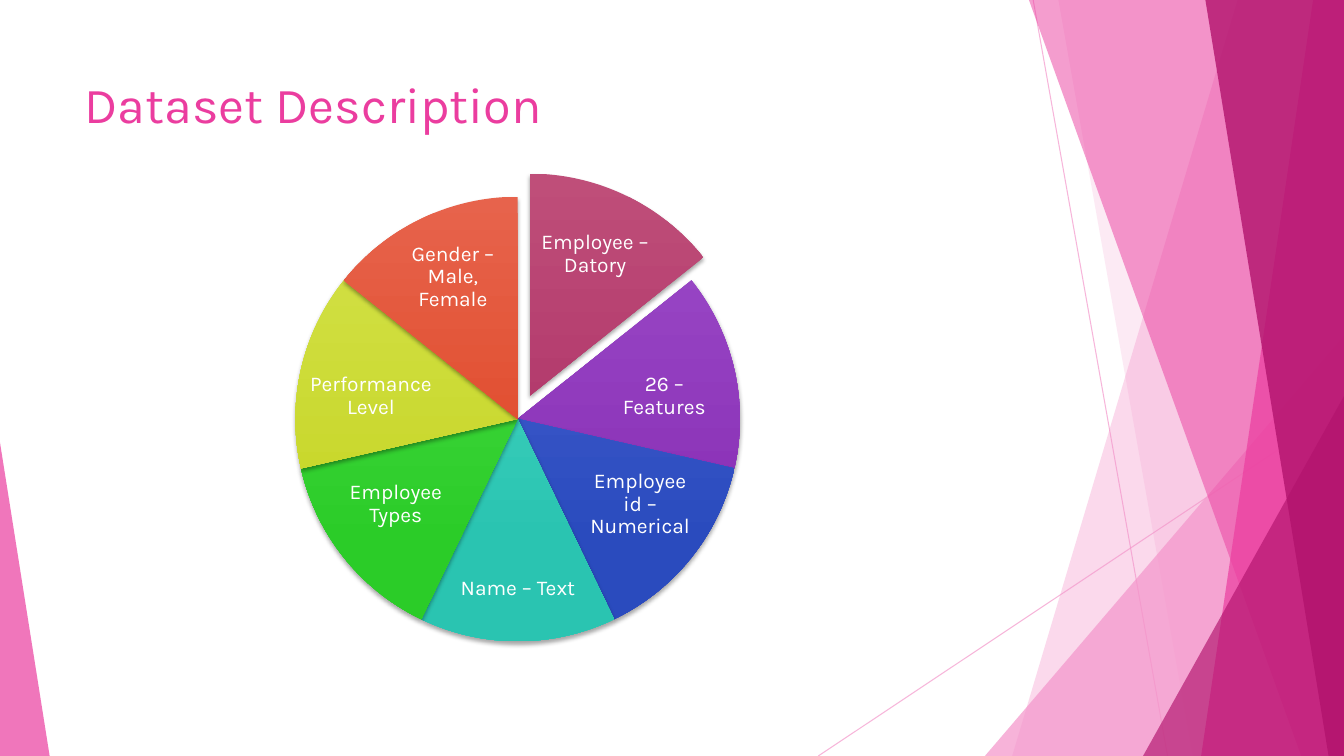
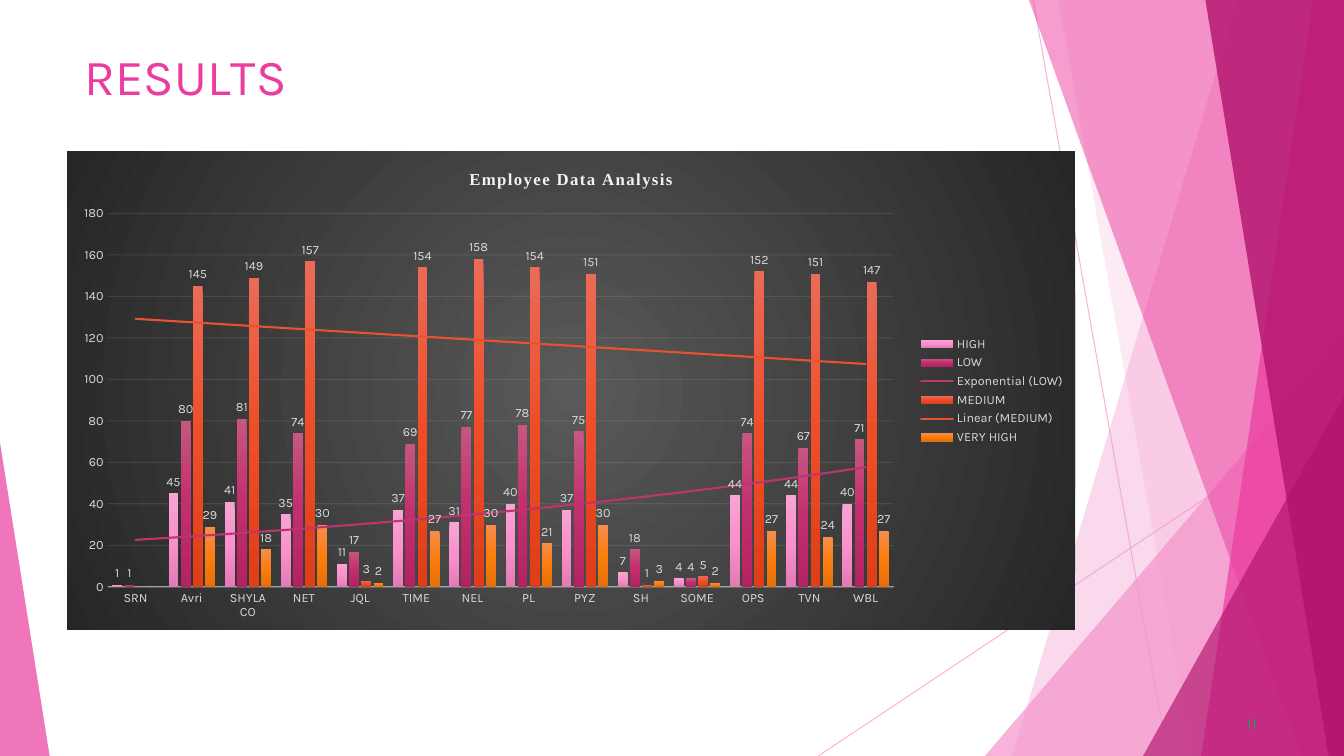
from pptx import Presentation
from pptx.chart.data import CategoryChartData
from pptx.dml.color import RGBColor
from pptx.enum.chart import XL_CHART_TYPE as ChartType
from pptx.enum.chart import XL_LABEL_POSITION as LabelPosition
from pptx.enum.chart import XL_LEGEND_POSITION as LegendPosition
from pptx.enum.chart import XL_TICK_MARK as TickMark
from pptx.enum.shapes import MSO_CONNECTOR as Connector
from pptx.enum.shapes import MSO_SHAPE as Shape
from pptx.enum.text import MSO_ANCHOR as Anchor
from pptx.enum.text import MSO_AUTO_SIZE as AutoSize
from pptx.enum.text import PP_ALIGN as Align
from pptx.oxml import parse_xml
from pptx.oxml.ns import nsdecls, qn
from pptx.util import Pt

# Shared look
WIDTH, HEIGHT = 960, 540
FONT = "Karla"
PINK, LIGHT_PINK, MAGENTA = "EB3D9F", "F496CB", "B2136D"
WHITE, PALE, CHART_GREY, NUMBER_GREEN = "FFFFFF", "F2F2F2", "D9D9D9", "2D936B"

# Pie slices: text, gradient, label box (left, top, width, height)
PIE_LEFT, PIE_TOP, PIE_SIZE = 211, 140.5, 317.5
EXPLODE_X, EXPLODE_Y = 8.5, -16.5
SLICES = [
    ("Employee – Datory", "BF4E79", "AC3066", (381.5, 154, 87, 55)),
    ("26 – Features", "9B4CC8", "892EB5", (428.5, 254, 92, 58.5)),
    ("Employee id – Numerical", "4A62D2", "2A4BBE", (415.5, 330, 83.5, 60.5)),
    ("Name – Text", "4AD8C5", "2AC4B1", (325, 390, 90, 60.5)),
    ("Employee Types", "4CDD4B", "2BCC28", (241, 330, 83.5, 60.5)),
    ("Performance Level", "D4E24B", "C6D525", (219, 254, 92, 58.5)),
    ("Gender – Male, Female", "E7634C", "DE4522", (280, 170.5, 87, 55)),
]

# Chart data: name, gradient, trend line (kind, colour), values
CATEGORIES = ["SRN", "Avri", "SHYLA CO", "NET", "JQL", "TIME", "NEL",
              "PL", "PYZ", "SH", "SOME", "OPS", "TVN", "WBL"]
SERIES = [
    ("HIGH", ("F7A4D2", "F991CC", "E37BB6"), None,
     (1, 45, 41, 35, 11, 37, 31, 40, 37, 7, 4, 44, 44, 40)),
    ("LOW", ("C65780", "C32E6E", "B32361"), ("exp", "BC356F"),
     (1, 80, 81, 74, 17, 69, 77, 78, 75, 18, 4, 74, 67, 71)),
    ("MEDIUM", ("EB6B57", "EF4D28", "DF3E19"), ("linear", "E65331"),
     (None, 145, 149, 157, 3, 154, 158, 154, 151, 1, 5, 152, 151, 147)),
    ("VERY HIGH", ("F68D4E", "FD7D0E", "E56F08"), None,
     (None, 29, 18, 30, 2, 27, 30, 21, 30, 3, 2, 27, 24, 27)),
]


# Colour and fill helpers
def colour(hex_text):
    return RGBColor.from_string(hex_text)


def set_alpha(element, percent):
    for node in element.iter(qn("a:srgbClr")):
        node.append(parse_xml(f'<a:alpha {nsdecls("a")} val="{percent * 1000}"/>'))


def gradient(stops, radial=False):
    marks = "".join(f'<a:gs pos="{place * 1000}"><a:srgbClr val="{tone}"/></a:gs>'
                    for place, tone in stops)
    if radial:
        way = ('<a:path path="circle"><a:fillToRect l="50000" t="50000" '
               'r="50000" b="50000"/></a:path>')
    else:
        way = '<a:lin ang="5400000" scaled="0"/>'
    return parse_xml(f'<a:gradFill {nsdecls("a")} rotWithShape="1">'
                     f'<a:gsLst>{marks}</a:gsLst>{way}</a:gradFill>')


def fill_gradient(fill, properties, stops):
    fill.solid()
    solid = properties.find(qn("a:solidFill"))
    properties.replace(solid, gradient(stops))


def fill_flat(shape, tone, alpha):
    shape.shadow.inherit = False
    shape.fill.solid()
    shape.fill.fore_color.rgb = colour(tone)
    shape.line.fill.background()
    set_alpha(shape.element.spPr, alpha)


# Text helpers
def style_font(font, size, tone, name=FONT):
    font.size = Pt(size)
    font.name = name
    font.color.rgb = colour(tone)


def add_span(para, text, size, tone, name=FONT, bold=False, spacing=0):
    span = para.add_run()
    span.text = text
    style_font(span.font, size, tone, name)
    span.font.bold = bold
    if spacing:
        span.font._element.set("spc", str(round(spacing * 100)))


def set_margins(frame, margin):
    frame.margin_left = frame.margin_right = Pt(margin)
    frame.margin_top = frame.margin_bottom = Pt(margin)


def add_text(page, place, text, size, tone, align=Align.LEFT,
             anchor=Anchor.TOP, margin=0, line_spacing=1.0):
    box = page.shapes.add_textbox(*map(Pt, place))
    frame = box.text_frame
    frame.word_wrap = True
    frame.vertical_anchor = anchor
    set_margins(frame, margin)
    para = frame.paragraphs[0]
    para.alignment = align
    para.line_spacing = line_spacing
    add_span(para, text, size, tone)


def set_title(page, place, spans):
    title = page.shapes.title
    title.left, title.top, title.width, title.height = map(Pt, place)
    frame = title.text_frame
    frame.auto_size = AutoSize.NONE
    frame.vertical_anchor = Anchor.TOP
    set_margins(frame, 0)
    para = frame.paragraphs[0]
    para.alignment = Align.LEFT
    for text, spacing in spans:
        add_span(para, text, 36, PINK, spacing=spacing)


# Background decoration
def add_thin_line(page, start, end):
    line = page.shapes.add_connector(Connector.STRAIGHT, *map(Pt, start + end))
    line.line.width = Pt(0.75)
    line.line.color.rgb = colour(LIGHT_PINK)
    properties = line.element.spPr
    set_alpha(properties, 70)
    properties.append(parse_xml(f'<a:effectLst {nsdecls("a")}/>'))


def add_band(page, top_x, bottom_x, tone, alpha):
    """Area between a slanted edge and the right side of the slide."""
    builder = page.shapes.build_freeform(Pt(top_x), 0)
    corners = [(WIDTH, 0), (WIDTH, HEIGHT), (bottom_x, HEIGHT)]
    builder.add_line_segments([(Pt(x), Pt(y)) for x, y in corners], close=True)
    fill_flat(builder.convert_to_shape(), tone, alpha)


def add_corner(page, left, top, width, apex, tone, alpha):
    corner = page.shapes.add_shape(Shape.ISOSCELES_TRIANGLE, Pt(left), Pt(top),
                                   Pt(width), Pt(HEIGHT - top))
    corner.adjustments[0] = apex
    fill_flat(corner, tone, alpha)


def decorate_layout(page):
    """Draw the ribbons once and hand them to the layout that pages share."""
    add_thin_line(page, (738, 0), (834, HEIGHT))
    add_thin_line(page, (WIDTH, 290), (584.5, HEIGHT))
    add_band(page, 884, 723, LIGHT_PINK, 36)
    add_band(page, 756, 852, LIGHT_PINK, 20)
    add_corner(page, 703.5, 240, 256.5, 1, LIGHT_PINK, 72)
    add_band(page, 735, 929.5, PINK, 50)
    add_band(page, 938, 858, PINK, 70)
    add_band(page, 861, 949, MAGENTA, 80)
    add_corner(page, 816.5, 283, 143.5, 1, MAGENTA, 66)
    add_corner(page, 0, 316, 35.5, 0, PINK, 70)
    tree = page.slide_layout.shapes.element
    ribbons = [shape for shape in page.shapes if not shape.is_placeholder]
    for index, shape in enumerate(ribbons):
        shape.element.xpath(".//p:cNvPr")[0].set("id", str(100 + index))
        tree.insert(2 + index, shape.element)


# Pie of dataset parts
def add_slice(page, index, top_tone, low_tone):
    shift_x, shift_y = (EXPLODE_X, EXPLODE_Y) if index == 0 else (0, 0)
    piece = page.shapes.add_shape(Shape.PIE, Pt(PIE_LEFT + shift_x),
                                  Pt(PIE_TOP + shift_y), Pt(PIE_SIZE), Pt(PIE_SIZE))
    for side in (0, 1):
        degrees = (270 + (index + side) * 360 / len(SLICES)) % 360
        piece.adjustments[side] = degrees * 0.6
    properties = piece.element.spPr
    fill_gradient(piece.fill, properties, [(0, top_tone), (78, low_tone)])
    piece.line.fill.background()
    piece.shadow.inherit = False
    properties.find(qn("a:effectLst")).append(parse_xml(
        f'<a:outerShdw {nsdecls("a")} blurRad="{Pt(3)}" dist="{Pt(2)}" '
        'dir="5400000" rotWithShape="0"><a:srgbClr val="000000">'
        '<a:alpha val="35000"/></a:srgbClr></a:outerShdw>'))


def add_pie(page):
    for index, (text, top_tone, low_tone, place) in enumerate(SLICES):
        add_slice(page, index, top_tone, low_tone)
        add_text(page, place, text, 15, WHITE, Align.CENTER, Anchor.MIDDLE, 1.4, 0.9)


# Column chart with trend lines
def add_trend(series_node, kind, tone):
    series_node.find(qn("c:cat")).addprevious(parse_xml(
        f'<c:trendline {nsdecls("c", "a")}><c:spPr><a:ln w="{Pt(1.5)}" cap="rnd">'
        f'<a:solidFill><a:srgbClr val="{tone}"/></a:solidFill></a:ln></c:spPr>'
        f'<c:trendlineType val="{kind}"/><c:dispRSqr val="0"/>'
        '<c:dispEq val="0"/></c:trendline>'))


def style_series(chart):
    nodes = chart.element.xpath("//c:ser")
    for series, node, (_, tones, trend, _) in zip(chart.plots[0].series, nodes, SERIES):
        series.format.fill.solid()
        fill_gradient(series.format.fill, node.find(qn("c:spPr")),
                      list(zip((0, 50, 100), tones)))
        labels = series.data_labels
        labels.show_value = True
        labels.position = LabelPosition.OUTSIDE_END
        style_font(labels.font, 9, CHART_GREY)
        if trend:
            add_trend(node, *trend)


def style_axes(chart):
    columns, values = chart.category_axis, chart.value_axis
    for axis in (columns, values):
        axis.major_tick_mark = axis.minor_tick_mark = TickMark.NONE
        style_font(axis.tick_labels.font, 9, CHART_GREY)
    values.minimum_scale, values.maximum_scale, values.major_unit = 0, 180, 20
    values.format.line.fill.background()
    values.has_major_gridlines = True
    grid = values.major_gridlines.format.line
    for line, width in ((columns.format.line, 1), (grid, 0.75)):
        line.width = Pt(width)
        line.color.rgb = colour(PALE)
    set_alpha(chart.element.xpath("//c:catAx/c:spPr")[0], 54)
    set_alpha(chart.element.xpath("//c:majorGridlines")[0], 10)


def style_areas(chart):
    root = chart.element
    area = parse_xml(f'<c:spPr {nsdecls("c", "a")}><a:ln><a:noFill/></a:ln></c:spPr>')
    area.insert(0, gradient([(0, "595959"), (100, "262626")], radial=True))
    root.find(qn("c:chart")).addnext(area)
    plot_area = root.xpath("//c:plotArea")[0]
    for old in plot_area.findall(qn("c:layout")):
        plot_area.remove(old)
    sizes = "".join(f'<c:{key} val="{value}"/>' for key, value in
                    (("x", 0.04), ("y", 0.13), ("w", 0.78), ("h", 0.78)))
    plot_area.insert(0, parse_xml(
        f'<c:layout {nsdecls("c")}><c:manualLayout><c:layoutTarget val="inner"/>'
        f'<c:xMode val="edge"/><c:yMode val="edge"/>{sizes}</c:manualLayout></c:layout>'))


def add_results_chart(page):
    data = CategoryChartData()
    data.categories = CATEGORIES
    for name, _, _, values in SERIES:
        data.add_series(name, values)
    chart = page.shapes.add_chart(ChartType.COLUMN_CLUSTERED, Pt(48), Pt(108),
                                  Pt(720), Pt(342), data).chart
    style_font(chart.font, 10, "000000")
    plot = chart.plots[0]
    plot.gap_width, plot.overlap, plot.vary_by_categories = 100, -24, False
    chart.has_title = True
    add_span(chart.chart_title.text_frame.paragraphs[0], "Employee Data Analysis",
             12, PALE, "Times New Roman", bold=True, spacing=1)
    chart.has_legend = True
    chart.legend.position = LegendPosition.RIGHT
    chart.legend.include_in_layout = False
    style_font(chart.legend.font, 9, CHART_GREY)
    style_series(chart)
    style_axes(chart)
    style_areas(chart)


def main():
    deck = Presentation()
    deck.slide_width, deck.slide_height = Pt(WIDTH), Pt(HEIGHT)
    title_only = deck.slide_layouts[5]

    # Dataset description
    page = deck.slides.add_slide(title_only)
    decorate_layout(page)
    set_title(page, (60.5, 52, 670, 100), [("Dataset Description", 0)])
    add_pie(page)

    # Results
    page = deck.slides.add_slide(title_only)
    set_title(page, (60.5, 32, 192, 60), [("RESU", 0), ("L", -4), ("TS", 0)])
    add_results_chart(page)
    add_text(page, (890.5, 510, 18, 15), "11", 11, NUMBER_GREEN)

    deck.save("out.pptx")


if __name__ == "__main__":
    main()
